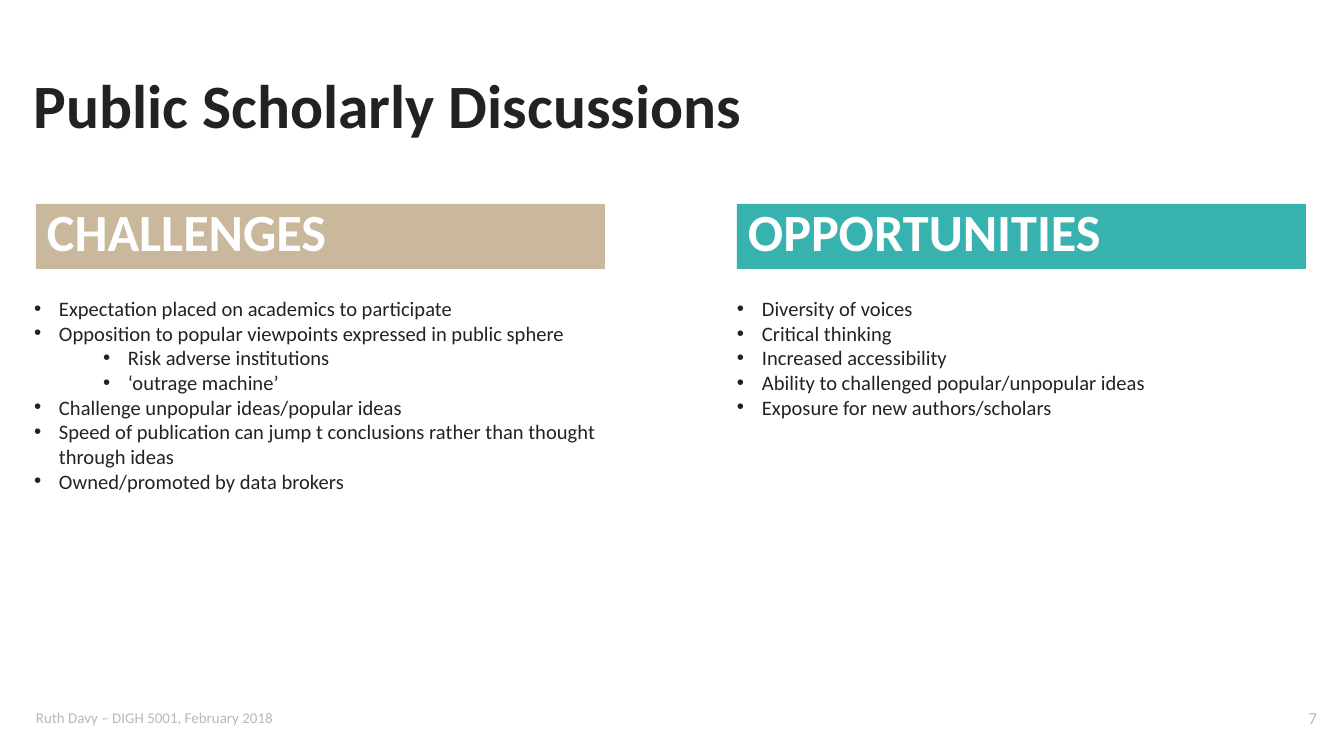
import pptx
import pptx.util
import pptx.dml.color
import pptx.enum.shapes
import pptx.enum.text
import lxml.etree

RGB = pptx.dml.color.RGBColor
Pt = pptx.util.Pt
ANCHOR = pptx.enum.text.MSO_ANCHOR
INK = RGB(0x22, 0x22, 0x23)
WHITE = RGB(0xFF, 0xFF, 0xFF)
GREY = RGB(0xB7, 0xB9, 0xBA)
SAND = RGB(0xCA, 0xB8, 0x9D)
TEAL = RGB(0x37, 0xB2, 0xAF)

# Content: bullets are (level, text)
TITLE = "Public Scholarly Discussions"
FOOTER = "Ruth Davy – DIGH 5001, February 2018"
PAGE_NUMBER = "7"
COLUMNS = [
    dict(heading="CHALLENGES", color=SAND, heading_left=36,
         list_box=(34, 296, 624, 298), points=[
             (0, "Expectation placed on academics to participate"),
             (0, "Opposition to popular viewpoints expressed in public sphere"),
             (1, "Risk adverse institutions"),
             (1, "‘outrage machine’"),
             (0, "Challenge unpopular ideas/popular ideas"),
             (0, "Speed of publication can jump t conclusions rather than "
                 "thought through ideas"),
             (0, "Owned/promoted by data brokers")]),
    dict(heading="OPPORTUNITIES", color=TEAL, heading_left=737,
         list_box=(737, 296, 570, 224), points=[
             (0, "Diversity of voices"),
             (0, "Critical thinking"),
             (0, "Increased accessibility"),
             (0, "Ability to challenged popular/unpopular ideas"),
             (0, "Exposure for new authors/scholars")]),
]
HEADING_TOP, HEADING_WIDTH, HEADING_HEIGHT = 204, 569, 65
BULLET_HANG = 25
LEVEL_INDENTS = [25, 94]


def px(pixels):
    return round(pixels * 914400 / 134.4)


def set_frame(shape, anchor=ANCHOR.TOP, wrap=True, left=0, right=0):
    frame = shape.text_frame
    frame.margin_left, frame.margin_right = px(left), px(right)
    frame.margin_top = frame.margin_bottom = 0
    frame.vertical_anchor = anchor
    frame.word_wrap = wrap
    return frame


def write(paragraph, text, size, color, bold=False, spacing=1.0, before=0,
          after=0, align=pptx.enum.text.PP_ALIGN.LEFT):
    paragraph.text = text
    font = paragraph.font
    font.name, font.size, font.bold = "Calibri", Pt(size), bold
    font.color.rgb = color
    paragraph.line_spacing = spacing
    paragraph.space_before, paragraph.space_after = Pt(before), Pt(after)
    paragraph.alignment = align


def add_bullet(paragraph, level):
    paragraph.level = level
    props = paragraph._p.get_or_add_pPr()
    props.set("marL", str(px(LEVEL_INDENTS[level])))
    props.set("indent", str(-px(BULLET_HANG)))
    ns = pptx.oxml.ns.qn
    bullet_font = lxml.etree.Element(ns("a:buFont"), typeface="Arial")
    bullet = lxml.etree.Element(ns("a:buChar"), char="•")
    defaults = props.find(ns("a:defRPr"))
    defaults.addprevious(bullet_font)
    defaults.addprevious(bullet)


deck = pptx.Presentation()
deck.slide_width, deck.slide_height = px(1344), px(756)
slide = deck.slides.add_slide(deck.slide_layouts[6])


def add_text(box, **frame_options):
    shape = slide.shapes.add_textbox(*map(px, box))
    return set_frame(shape, **frame_options)


# Footer and page number
footer = add_text((36, 703, 238, 24), anchor=ANCHOR.BOTTOM, wrap=False)
write(footer.paragraphs[0], FOOTER, 8, GREY, spacing=0.85, before=2)
number = add_text((1294, 711, 38, 17), anchor=ANCHOR.BOTTOM, wrap=False)
write(number.paragraphs[0], PAGE_NUMBER, 9, GREY, spacing=0.85, before=2,
      align=pptx.enum.text.PP_ALIGN.CENTER)

# Title
title = add_text((34, 75, 1271, 67))
write(title.paragraphs[0], TITLE, 33, INK, bold=True, spacing=0.9, before=4.1)

# Columns: coloured heading bar above a bulleted list
for column in COLUMNS:
    bar = slide.shapes.add_shape(
        pptx.enum.shapes.MSO_SHAPE.RECTANGLE,
        *map(px, (column["heading_left"], HEADING_TOP,
                  HEADING_WIDTH, HEADING_HEIGHT)))
    bar.shadow.inherit = False
    bar.fill.solid()
    bar.fill.fore_color.rgb = column["color"]
    bar.line.fill.background()
    heading = set_frame(bar, anchor=ANCHOR.MIDDLE, left=11, right=4)
    write(heading.paragraphs[0], column["heading"], 28, WHITE, bold=True,
          spacing=0.8, before=8.2, after=3)

    points = add_text(column["list_box"])
    for i, (level, text) in enumerate(column["points"]):
        point = points.add_paragraph() if i else points.paragraphs[0]
        write(point, text, 11, INK)
        add_bullet(point, level)

deck.save("out.pptx")
